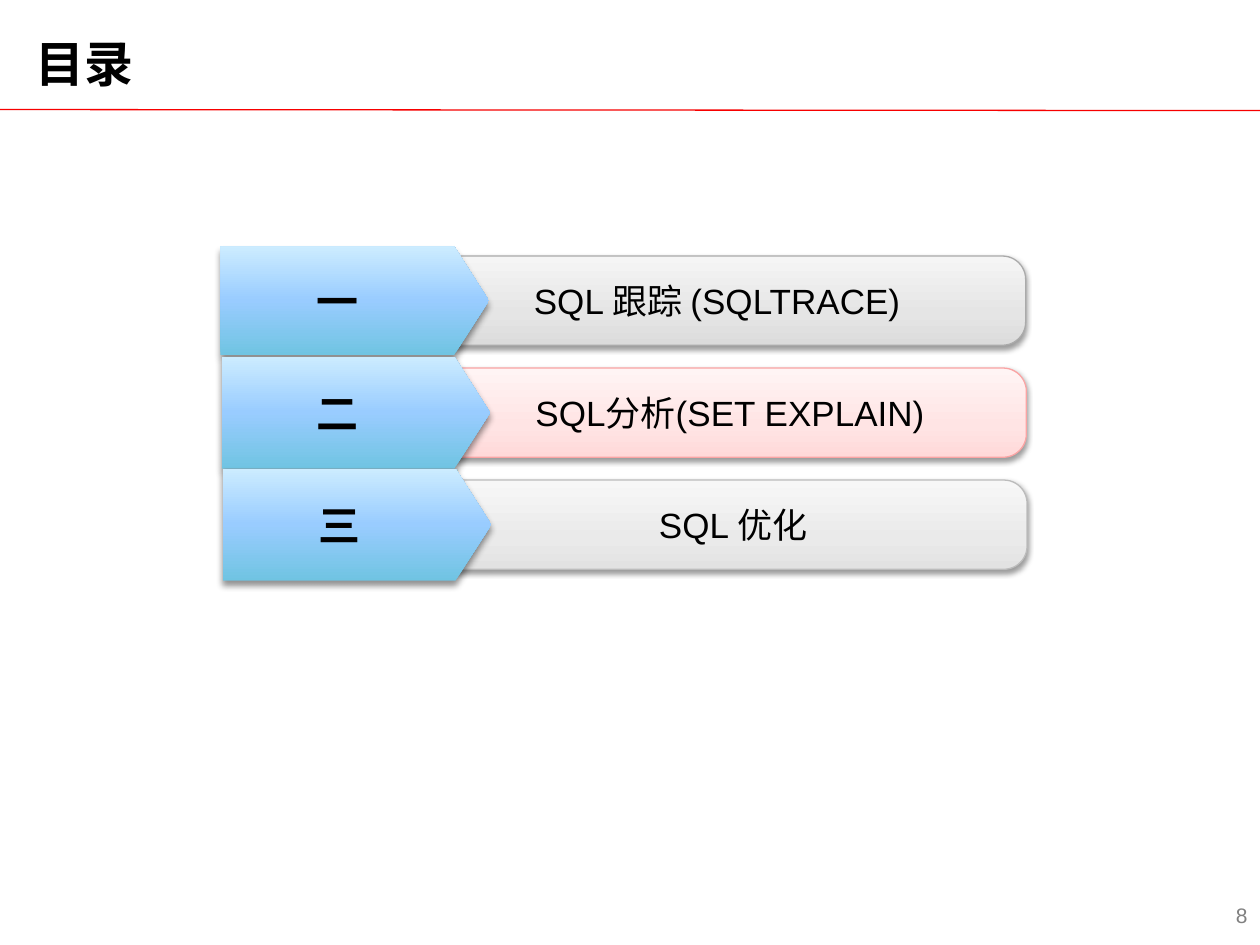
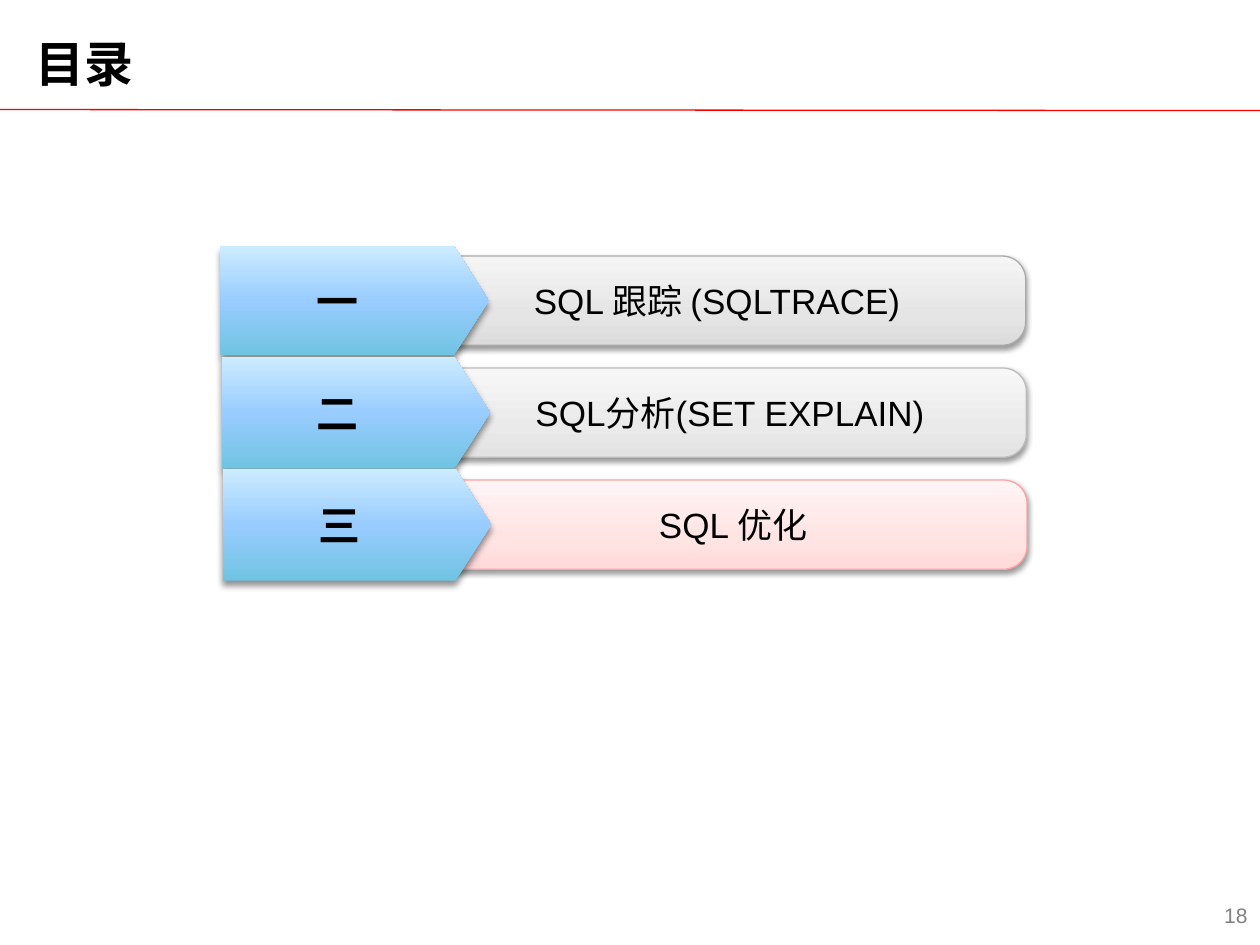
from pptx import Presentation
from pptx.dml.color import RGBColor
from pptx.enum.shapes import MSO_CONNECTOR, MSO_SHAPE
from pptx.enum.text import MSO_ANCHOR, PP_ALIGN
from pptx.oxml.ns import qn
from pptx.util import Pt
from lxml.etree import SubElement

BLACK = RGBColor(0x00, 0x00, 0x00)
GREY = RGBColor(0x80, 0x80, 0x80)
RED = RGBColor(0xF7, 0x00, 0x00)
DARK_EDGE = RGBColor(0xAA, 0xAA, 0xAA)
PALE_EDGE = RGBColor(0xBC, 0xBC, 0xBC)
PINK_EDGE = RGBColor(0xFA, 0xA4, 0xA4)
BLUES = (RGBColor(0x70, 0xC4, 0xE2), RGBColor(0x99, 0xCC, 0xFF), RGBColor(0xCC, 0xEC, 0xFF))
DARK_GREYS = (RGBColor(0xDB, 0xDB, 0xDB), RGBColor(0xE5, 0xE5, 0xE5), RGBColor(0xF5, 0xF5, 0xF5))
PALE_GREYS = (RGBColor(0xE2, 0xE2, 0xE2), RGBColor(0xEA, 0xEA, 0xEA), RGBColor(0xF7, 0xF7, 0xF7))
PINKS = (RGBColor(0xFF, 0xD9, 0xD9), RGBColor(0xFF, 0xE4, 0xE4), RGBColor(0xFF, 0xF4, 0xF4))

LATIN_FONT = "Arial"
CHINESE_FONT = "Noto Sans CJK SC"
TITLE_FONT = {"name": CHINESE_FONT, "size": Pt(28), "bold": True}
BADGE_FONT = {"name": CHINESE_FONT, "size": Pt(24), "bold": True}
TOPIC_FONT = {"name": LATIN_FONT, "size": Pt(20), "bold": False}
NUMBER_FONT = {"name": LATIN_FONT, "size": Pt(12), "bold": False}

TOPICS = (
    ("一", "SQL 跟踪 (SQLTRACE)", 23, 62, DARK_GREYS, DARK_EDGE),
    ("二", "SQL分析(SET EXPLAIN)", 37, 64, PALE_GREYS, PALE_EDGE),
    ("三", "SQL 优化", 40, 64, PALE_GREYS, PALE_EDGE),
)
FIRST_ROW_CENTRE = 171.8
ROW_PITCH = 64
BAR_HEIGHT = 51


def write_text(shape, text, font, color=BLACK, align=PP_ALIGN.CENTER,
               anchor=MSO_ANCHOR.MIDDLE, margins=None):
    frame = shape.text_frame
    layout = {"word_wrap": True, "vertical_anchor": anchor}
    for name, value in {**layout, **(margins or {})}.items():
        setattr(frame, name, value)
    para = frame.paragraphs[0]
    para.alignment = align
    span = para.add_run()
    span.text = text
    for name, value in font.items():
        setattr(span.font, name, value)
    span.font.color.rgb = color
    SubElement(span._r.get_or_add_rPr(), qn("a:ea"), typeface=CHINESE_FONT)


def fill_gradient(shape, colors, middle):
    shape.fill.gradient()
    shape.fill.gradient_angle = 90
    stops = shape._element.spPr.find(qn("a:gradFill")).find(qn("a:gsLst"))
    for stop in list(stops):
        stops.remove(stop)
    for position, color in zip((0, middle, 100), colors):
        stop = SubElement(stops, qn("a:gs"), pos=str(position * 1000))
        SubElement(stop, qn("a:srgbClr"), val=str(color))


def add_shadow(shape, opacity, blur, distance):
    shape.shadow.inherit = False
    effects = shape._element.spPr.find(qn("a:effectLst"))
    shadow = SubElement(effects, qn("a:outerShdw"), blurRad=str(Pt(blur)),
                        dist=str(Pt(distance)), dir="5400000", rotWithShape="0")
    color = SubElement(shadow, qn("a:srgbClr"), val=str(BLACK))
    SubElement(color, qn("a:alpha"), val=str(opacity * 1000))


def add_bar(page, left, centre, text, indent, colors, edge):
    bar = page.shapes.add_shape(MSO_SHAPE.ROUNDED_RECTANGLE, Pt(left),
                                Pt(centre - BAR_HEIGHT / 2), Pt(368.6), Pt(BAR_HEIGHT))
    bar.adjustments[0] = 0.26
    fill_gradient(bar, colors, 35)
    bar.line.color.rgb = edge
    bar.line.width = Pt(0.75)
    add_shadow(bar, 38, 3.1, 1.6)
    write_text(bar, text, TOPIC_FONT, margins={"margin_left": Pt(indent)})


def add_badge(page, left, centre, height, numeral):
    badge = page.shapes.add_shape(MSO_SHAPE.RIGHT_ARROW, Pt(left),
                                  Pt(centre - height / 2), Pt(153.4), Pt(height))
    badge.adjustments[0] = 1
    badge.adjustments[1] = 0.32
    fill_gradient(badge, BLUES, 50)
    badge.line.fill.background()
    add_shadow(badge, 43, 4, 3)
    write_text(badge, numeral, BADGE_FONT)


def add_topics(page, current):
    for row, (numeral, text, indent, height, colors, edge) in enumerate(TOPICS):
        if row == current:
            colors, edge = PINKS, PINK_EDGE
        centre = FIRST_ROW_CENTRE + row * ROW_PITCH
        add_bar(page, 217.5 + row * 0.4, centre, text, indent, colors, edge)
        add_badge(page, 126 + row * 0.7, centre, height, numeral)


def add_frame(page, title, number):
    rule = page.shapes.add_connector(MSO_CONNECTOR.STRAIGHT, Pt(0), Pt(62.6), Pt(720), Pt(63.2))
    rule.line.color.rgb = RED
    rule.line.width = Pt(0.75)
    SubElement(rule._element.spPr, qn("a:effectLst"))
    sides = ("left", "top", "right", "bottom")
    box = page.shapes.add_textbox(Pt(20.2), Pt(19.4), Pt(679), Pt(41))
    write_text(box, title, TITLE_FONT, align=PP_ALIGN.LEFT, anchor=MSO_ANCHOR.TOP,
               margins={f"margin_{side}": Pt(0) for side in sides})
    box = page.shapes.add_textbox(Pt(0), Pt(508.3), Pt(720), Pt(28.8))
    write_text(box, str(number), NUMBER_FONT, GREY, PP_ALIGN.RIGHT)


def main():
    deck = Presentation()
    deck.slide_width = Pt(720)
    deck.slide_height = Pt(540)
    for number, current in ((8, 1), (18, 2)):
        page = deck.slides.add_slide(deck.slide_layouts[6])
        add_frame(page, "目录", number)
        add_topics(page, current)
    deck.save("out.pptx")


if __name__ == "__main__":
    main()
